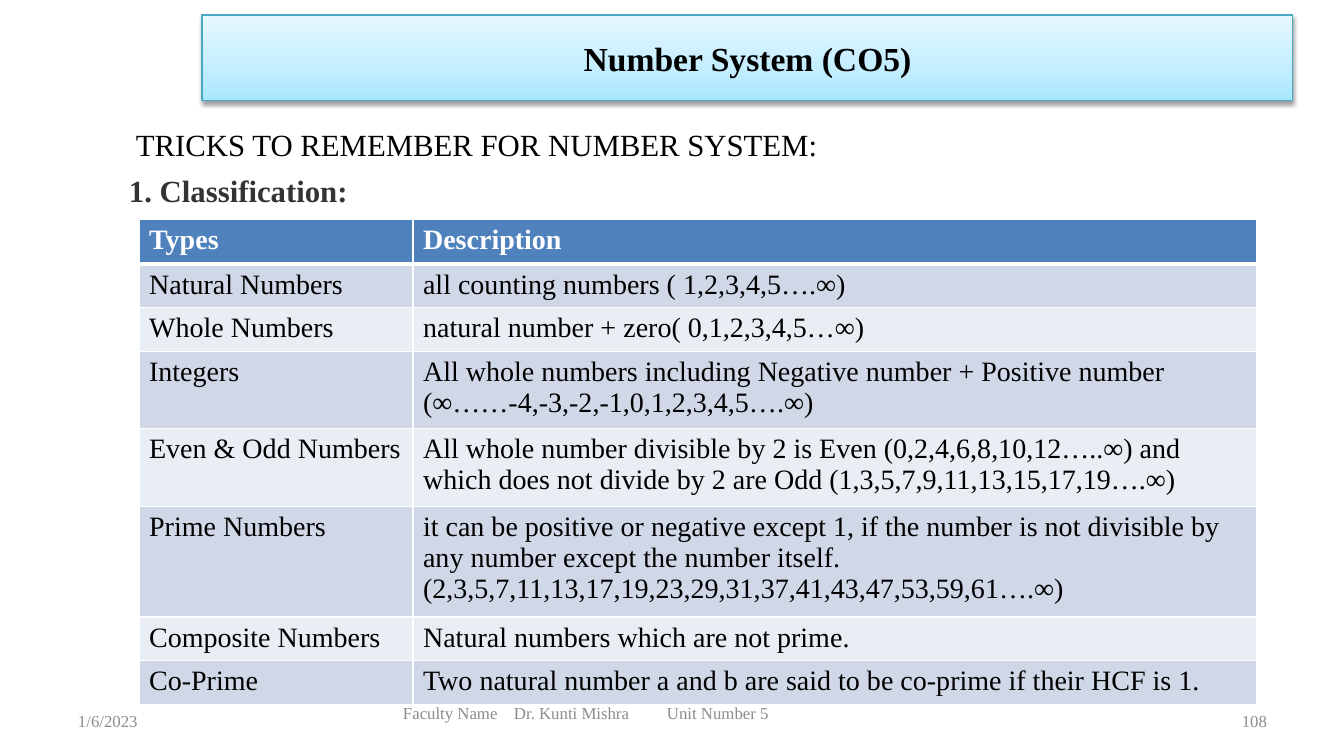
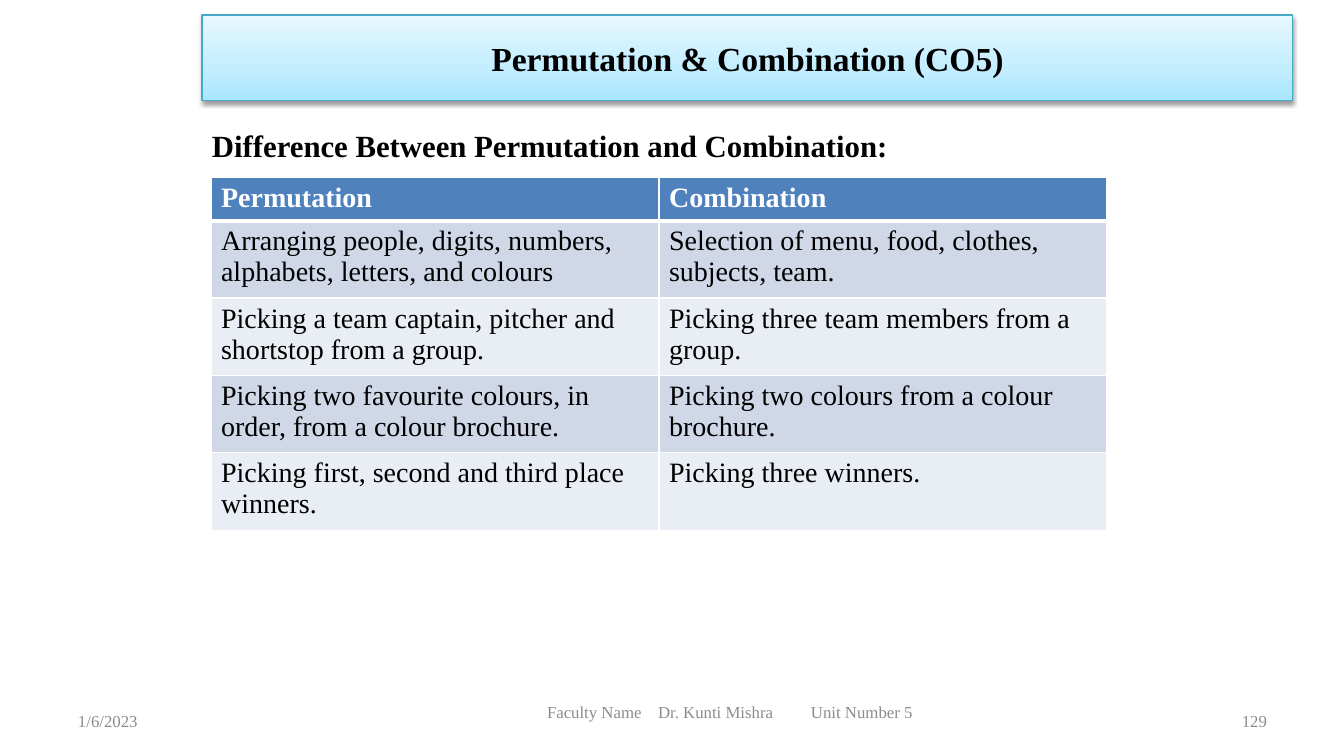
from copy import deepcopy
from dataclasses import dataclass

from lxml import etree
from pptx import Presentation
from pptx.dml.color import RGBColor
from pptx.enum.shapes import MSO_SHAPE
from pptx.enum.text import MSO_ANCHOR, PP_ALIGN
from pptx.oxml.ns import qn
from pptx.util import Emu, Pt

RECTANGLE = MSO_SHAPE.RECTANGLE
TOP, MIDDLE = MSO_ANCHOR.TOP, MSO_ANCHOR.MIDDLE
LEFT, CENTER, RIGHT = PP_ALIGN.LEFT, PP_ALIGN.CENTER, PP_ALIGN.RIGHT

EMU_PER_PX = 914400 / 100.8


def px(length: int) -> Emu:
    return Emu(round(length * EMU_PER_PX))


@dataclass(frozen=True)
class Theme:
    font: str = "Times New Roman"
    title_size: int = 24
    body_size: int = 22
    table_size: int = 20
    footer_size: int = 12
    black: str = "000000"
    white: str = "FFFFFF"
    heading: str = "333333"
    footer: str = "8C8C8C"
    band_line: str = "46AAC5"
    band_stops: tuple = ((0, "A7E6FF"), (0.35, "C1EDFF"), (1, "E7F8FF"))
    header_row: str = "4F81BD"
    rows: tuple = ("D0D8E8", "E9EDF4")
    thin: int = 1
    thick: int = 3


THEME = Theme()


@dataclass(frozen=True)
class Area:
    left: int
    top: int
    width: int
    height: int


@dataclass(frozen=True)
class Line:
    text: str
    bold: bool
    color: str = THEME.black
    indent: int = 0


@dataclass(frozen=True)
class Grid:
    left: int
    top: int
    columns: tuple
    heights: tuple
    cells: tuple


@dataclass(frozen=True)
class Page:
    title: str
    number: str
    body: Area
    lines: tuple
    grid: Grid
    footer: Area


SLIDE_WIDTH, SLIDE_HEIGHT = 1344, 756
TITLE_BAND = Area(202, 15, 1091, 86)
DATE_AREA = Area(68, 701, 313, 40)
NUMBER_AREA = Area(964, 701, 313, 40)
INSET, BODY_INSET_TOP = 10, 9
FOOTER_TEXT = "Faculty Name\tDr. Kunti Mishra\tUnit Number 5"
FOOTER_TABS = (111, 264)

PAGES = (
    Page(
        "Number System (CO5)", "108", Area(119, 117, 1158, 584),
        (Line("TRICKS TO REMEMBER FOR NUMBER SYSTEM:", False, indent=7),
         Line("1. Classification:", True, THEME.heading)),
        Grid(139, 219, (274, 844), (45, 41, 42, 72, 72, 103, 41, 42), (
            ("Types", "Description"),
            ("Natural Numbers", "all counting numbers ( 1,2,3,4,5….∞)"),
            ("Whole Numbers", "natural number + zero( 0,1,2,3,4,5…∞)"),
            ("Integers",
             "All whole numbers including Negative number + Positive number\n"
             "(∞……-4,-3,-2,-1,0,1,2,3,4,5….∞)"),
            ("Even & Odd Numbers",
             "All whole number divisible by 2 is Even (0,2,4,6,8,10,12…..∞) and "
             "which does not divide by 2 are Odd (1,3,5,7,9,11,13,15,17,19….∞)"),
            ("Prime Numbers",
             "it can be positive or negative except 1, if the number is not "
             "divisible by any number except the number itself."
             "(2,3,5,7,11,13,17,19,23,29,31,37,41,43,47,53,59,61….∞)"),
            ("Composite Numbers", "Natural numbers which are not prime."),
            ("Co-Prime",
             "Two natural number a and b are said to be co-prime if their HCF is 1."),
        )),
        Area(403, 701, 380, 24),
    ),
    Page(
        "Permutation & Combination (CO5)", "129", Area(202, 118, 1091, 523),
        (Line("Difference Between Permutation and Combination:", True),),
        Grid(211, 177, (448, 448), (41, 72, 72, 72, 72), (
            ("Permutation", "Combination"),
            ("Arranging people, digits, numbers, alphabets, letters, and colours",
             "Selection of menu, food, clothes, subjects, team."),
            ("Picking a team captain, pitcher and shortstop from a group.",
             "Picking three team members from a group."),
            ("Picking two favourite colours, in order, from a colour brochure.",
             "Picking two colours from a colour brochure."),
            ("Picking first, second and third place winners.",
             "Picking three winners."),
        )),
        Area(547, 701, 380, 21),
    ),
)


def rgb(color: str) -> RGBColor:
    return RGBColor.from_string(color)


def style(para, size: int, color: str, bold: bool = False, align=LEFT) -> None:
    para.alignment = align
    for span in para.runs:
        span.font.name = THEME.font
        span.font.size = Pt(size)
        span.font.bold = bold
        span.font.color.rgb = rgb(color)


def set_frame(frame, anchor, inset: int = INSET, inset_top: int = 5) -> None:
    frame.word_wrap = True
    frame.vertical_anchor = anchor
    frame.margin_left = frame.margin_right = px(inset)
    frame.margin_top, frame.margin_bottom = px(inset_top), px(5)


def place(area: Area) -> tuple:
    return px(area.left), px(area.top), px(area.width), px(area.height)


def add_rectangle(slide, area: Area):
    box = slide.shapes.add_shape(RECTANGLE, *place(area))
    box.shadow.inherit = False
    return box


def add_title(slide, text: str) -> None:
    band = add_rectangle(slide, TITLE_BAND)
    band.line.color.rgb = rgb(THEME.band_line)
    band.line.width = Pt(0.75)
    # Three-stop gradient, running upwards
    band.fill.gradient()
    band.fill.gradient_angle = 90
    properties = band.element.spPr
    stop_list = properties.find(qn("a:gradFill")).find(qn("a:gsLst"))
    stop_list.append(deepcopy(stop_list[-1]))
    for stop, (position, color) in zip(band.fill.gradient_stops, THEME.band_stops):
        stop.position = position
        stop.color.rgb = rgb(color)
    # Soft shadow below the band
    shadow = etree.SubElement(
        properties.find(qn("a:effectLst")), qn("a:outerShdw"),
        blurRad="40000", dist="20000", dir="5400000", rotWithShape="0")
    tint = etree.SubElement(shadow, qn("a:srgbClr"), val=THEME.black)
    etree.SubElement(tint, qn("a:alpha"), val="38000")

    set_frame(band.text_frame, MIDDLE)
    band.text_frame.text = text
    style(band.text_frame.paragraphs[0], THEME.title_size, THEME.black, True, CENTER)


def add_body(slide, area: Area, lines: tuple) -> None:
    box = add_rectangle(slide, area)
    box.fill.solid()
    box.fill.fore_color.rgb = rgb(THEME.white)
    box.line.fill.background()
    frame = box.text_frame
    set_frame(frame, TOP, inset_top=BODY_INSET_TOP)
    frame.text = "\n".join(line.text for line in lines)
    for index, (para, line) in enumerate(zip(frame.paragraphs, lines)):
        style(para, THEME.body_size, line.color, line.bold)
        if index:
            para.space_before = Pt(6)
        if line.indent:
            para._p.get_or_add_pPr().set("marL", str(px(line.indent)))


def add_footer_text(slide, area: Area, text: str, align=LEFT,
                    inset: int = INSET, tabs: tuple = ()) -> None:
    box = slide.shapes.add_textbox(*place(area))
    set_frame(box.text_frame, MIDDLE, inset)
    box.text_frame.text = text
    para = box.text_frame.paragraphs[0]
    if tabs:
        tab_list = etree.SubElement(para._p.get_or_add_pPr(), qn("a:tabLst"))
        for tab in tabs:
            etree.SubElement(tab_list, qn("a:tab"), pos=str(px(tab)), algn="l")
    style(para, THEME.footer_size, THEME.footer, align=align)


def set_borders(cell, top: int, bottom: int) -> None:
    properties = cell._tc.get_or_add_tcPr()
    sides = (("L", THEME.thin), ("R", THEME.thin), ("T", top), ("B", bottom))
    for side, width in sides:
        border = etree.SubElement(properties, qn(f"a:ln{side}"), w=str(Pt(width)))
        fill = etree.SubElement(border, qn("a:solidFill"))
        etree.SubElement(fill, qn("a:srgbClr"), val=THEME.white)


def add_grid(slide, grid: Grid) -> None:
    area = Area(grid.left, grid.top, sum(grid.columns), sum(grid.heights))
    table = slide.shapes.add_table(
        len(grid.heights), len(grid.columns), *place(area)).table
    for column, width in zip(table.columns, grid.columns):
        column.width = px(width)
    for index, (row, height) in enumerate(zip(table.rows, grid.heights)):
        row.height = px(height)
        header = index == 0
        fill = THEME.header_row if header else THEME.rows[(index - 1) % 2]
        for cell, text in zip(row.cells, grid.cells[index]):
            set_borders(cell,
                        THEME.thick if index == 1 else THEME.thin,
                        THEME.thick if header else THEME.thin)
            cell.fill.solid()
            cell.fill.fore_color.rgb = rgb(fill)
            cell.text_frame.text = text
            for para in cell.text_frame.paragraphs:
                style(para, THEME.table_size,
                      THEME.white if header else THEME.black, header)


def add_page(deck, page: Page) -> None:
    slide = deck.slides.add_slide(deck.slide_layouts[6])
    add_title(slide, page.title)
    add_body(slide, page.body, page.lines)
    add_footer_text(slide, DATE_AREA, "1/6/2023")
    add_footer_text(slide, page.footer, FOOTER_TEXT, inset=0, tabs=FOOTER_TABS)
    add_footer_text(slide, NUMBER_AREA, page.number, RIGHT)
    add_grid(slide, page.grid)


def main() -> None:
    deck = Presentation()
    deck.slide_width, deck.slide_height = px(SLIDE_WIDTH), px(SLIDE_HEIGHT)
    for page in PAGES:
        add_page(deck, page)
    deck.save("out.pptx")


if __name__ == "__main__":
    main()
